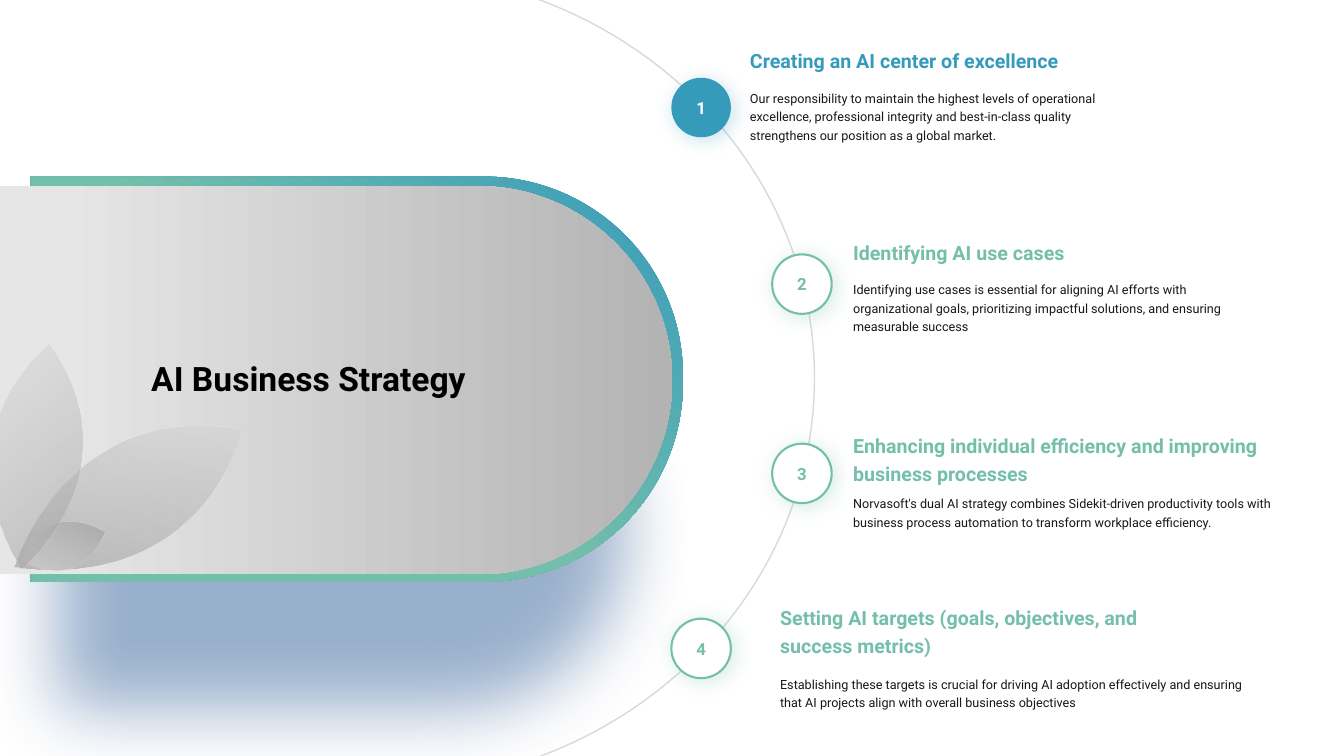
from lxml import etree
from pptx import Presentation
from pptx.dml.color import RGBColor
from pptx.enum.shapes import MSO_SHAPE as Preset
from pptx.enum.text import MSO_ANCHOR as Anchor, PP_ALIGN as Align
from pptx.oxml import parse_xml
from pptx.oxml.ns import nsdecls, qn
from pptx.util import Cm, Pt

BLUE = RGBColor(0x36, 0x9A, 0xBA)
GREEN = RGBColor(0x74, 0xBF, 0xAB)
NAVY = RGBColor(0x01, 0x3A, 0x81)
WHITE = RGBColor(0xFF, 0xFF, 0xFF)
BLACK = RGBColor(0x00, 0x00, 0x00)
INK = RGBColor(0x18, 0x17, 0x17)
RING = RGBColor(0xD9, 0xD9, 0xD9)
PALE = RGBColor(0xE7, 0xE6, 0xE6)
SILVER = RGBColor(0xB3, 0xB3, 0xB3)
LEAF_DARK = RGBColor(0x9F, 0x9F, 0xA0)
LEAF_LIGHT = RGBColor(0xD5, 0xD5, 0xD5)
FONT = "Roboto"


def fill_gradient(shape, stops, angle):
    """Stops are (position %, colour, opacity %); the angle runs clockwise."""
    marks = "".join(
        f'<a:gs pos="{pos * 1000}"><a:srgbClr val="{colour}">'
        f'<a:alpha val="{opacity * 1000}"/></a:srgbClr></a:gs>'
        for pos, colour, opacity in stops)
    gradient = parse_xml(
        f'<a:gradFill {nsdecls("a")} rotWithShape="1"><a:gsLst>{marks}</a:gsLst>'
        f'<a:lin ang="{angle * 60000}" scaled="0"/></a:gradFill>')
    shape.fill.background()
    properties = shape._element.spPr
    properties.replace(properties.find(qn("a:noFill")), gradient)
    shape.line.fill.background()
    shape.shadow.inherit = False


def cast_shadow(shape, colour, opacity, blur, distance, direction, size=100):
    shape.shadow.inherit = False
    effects = shape._element.spPr.find(qn("a:effectLst"))
    shadow = etree.SubElement(
        effects, qn("a:outerShdw"), blurRad=str(Pt(blur)), dist=str(Pt(distance)),
        dir=str(direction * 60000), sx=str(size * 1000), sy=str(size * 1000),
        algn="b", rotWithShape="0")
    tint = etree.SubElement(shadow, qn("a:srgbClr"), val=str(colour))
    etree.SubElement(tint, qn("a:alpha"), val=str(opacity * 1000))


deck = Presentation()
deck.slide_width, deck.slide_height = Cm(33.87), Cm(19.05)
page = deck.slides.add_slide(deck.slide_layouts[5])

# Coloured rim behind the panel
rim = page.shapes.add_shape(Preset.ROUND_2_SAME_RECTANGLE,
                            Cm(3.89), Cm(1.34), Cm(10.21), Cm(16.43))
rim.rotation = 270
rim.adjustments[0], rim.adjustments[1] = 0, 0.49
fill_gradient(rim, [(0, BLUE, 100), (51, GREEN, 100)], 220)
cast_shadow(rim, NAVY, 40, 54, 31, 90, size=87)

# Orbit line
orbit = page.shapes.add_shape(Preset.ARC, Cm(-0.8), Cm(-1.52), Cm(20.55), Cm(22.1))
orbit.rotation = 90
orbit.adjustments[0], orbit.adjustments[1] = 121.95, 202.13
orbit.fill.background()
orbit.line.color.rgb = RING
orbit.line.width = Pt(1)
orbit.shadow.inherit = False

# Grey panel
panel = page.shapes.add_shape(Preset.ROUND_2_SAME_RECTANGLE,
                              Cm(3.58), Cm(1.11), Cm(9.78), Cm(16.94))
panel.rotation = 270
panel.adjustments[0], panel.adjustments[1] = 0, 0.5
fill_gradient(panel, [(9, PALE, 100), (100, SILVER, 100)], 90)

# Leaves: two cubic curves each, from base to tip and back
LEAVES = [
    ([(0.36, 14.27), (0.36, 14.27), (1.63, 10.06), (6.1, 10.82)],
     [(6.1, 10.82), (4.78, 14.96), (0.79, 14.35), (0.36, 14.27)], 63, 58, 284),
    ([(2.64, 13.39), (2.64, 13.39), (2.06, 14.99), (0.56, 14.1)],
     [(0.56, 14.1), (1.17, 12.55), (2.49, 13.31), (2.64, 13.39)], 69, 58, 116),
    ([(0.56, 14.33), (0.56, 14.33), (-1.6, 11.25), (1.24, 8.66)],
     [(1.24, 8.66), (3.35, 11.73), (0.84, 14.07), (0.56, 14.33)], 58, 40, 232),
]
STEPS = 24
for outward, back, dark_opacity, light_opacity, angle in LEAVES:
    # Points along the curves give the leaf its frame
    points = []
    for curve in (outward, back):
        for step in range(1, STEPS + 1):
            t = step / STEPS
            weights = ((1 - t) ** 3, 3 * t * (1 - t) ** 2, 3 * t ** 2 * (1 - t), t ** 3)
            points.append([Cm(sum(w * point[axis] for w, point in zip(weights, curve)))
                           for axis in (0, 1)])
    builder = page.shapes.build_freeform(Cm(outward[0][0]), Cm(outward[0][1]))
    builder.add_line_segments(points, close=True)
    leaf = builder.convert_to_shape()
    # The outline itself is two true curves
    outline = next(leaf._element.iter(qn("a:path")))
    for segment in list(outline):
        outline.remove(segment)
    for command, corners in (("moveTo", outward[:1]), ("cubicBezTo", outward[1:]),
                             ("cubicBezTo", back[1:]), ("close", [])):
        segment = etree.SubElement(outline, qn(f"a:{command}"))
        for x, y in corners:
            etree.SubElement(segment, qn("a:pt"),
                             x=str(Cm(x) - leaf.left), y=str(Cm(y) - leaf.top))
    fill_gradient(leaf, [(0, LEAF_DARK, dark_opacity), (100, LEAF_LIGHT, light_opacity)],
                  angle)

# Steps: circle left and top, text left, then (text, top, width, height) twice
ITEMS = [
    (16.92, 1.96, 18.75,
     ("Creating an AI center of excellence", 0.97, 11.43, 0.94),
     ("Our responsibility to maintain the highest levels of operational excellence, "
      "professional integrity and best-in-class quality strengthens our position "
      "as a global market.", 2.05, 9.4, 1.63)),
    (19.46, 6.41, 21.35,
     ("Identifying AI use cases", 5.8, 8.89, 0.94),
     ("Identifying use cases is essential for aligning AI efforts with organizational "
      "goals, prioritizing impactful solutions, and ensuring measurable success",
      6.88, 9.73, 1.63)),
    (19.46, 11.18, 21.35,
     ("Enhancing individual efficiency and improving business processes",
      10.67, 12.19, 1.65),
     ("Norvasoft's dual AI strategy combines Sidekit-driven productivity tools with "
      "business process automation to transform workplace efficiency.",
      12.27, 11.73, 1.17)),
    (16.92, 15.59, 19.51,
     ("Setting AI targets (goals, objectives, and success metrics)", 15, 10.67, 1.65),
     ("Establishing these targets is crucial for driving AI adoption effectively and "
      "ensuring that AI projects align with overall business objectives",
      16.82, 12.19, 1.17)),
]
for number, (left, top, text_left, heading, detail) in enumerate(ITEMS, 1):
    active = number == 1
    accent = BLUE if active else GREEN

    # Numbered circle
    circle = page.shapes.add_shape(Preset.OVAL, Cm(left), Cm(top), Cm(1.5), Cm(1.5))
    circle.fill.solid()
    circle.fill.fore_color.rgb = accent if active else WHITE
    if active:
        circle.line.fill.background()
    else:
        circle.line.color.rgb = accent
        circle.line.width = Pt(1.5)
    cast_shadow(circle, accent, 28 if active else 30, 14, 3, 45)
    circle.text_frame.vertical_anchor = Anchor.MIDDLE
    para = circle.text_frame.paragraphs[0]
    para.alignment = Align.CENTER
    span = para.add_run()
    span.text = str(number)
    span.font.name, span.font.size, span.font.bold = FONT, Pt(12), True
    span.font.color.rgb = WHITE if active else accent

    # Heading and detail
    group = page.shapes.add_group_shape()
    for (words, box_top, width, height), size, bold, colour, spacing in (
            (detail, 9, False, INK, Pt(13.2)), (heading, 14, True, accent, 1.2)):
        box = group.shapes.add_textbox(Cm(text_left), Cm(box_top), Cm(width), Cm(height))
        frame = box.text_frame
        frame.word_wrap = True
        frame.margin_left = frame.margin_right = Cm(0.15)
        frame.margin_top = frame.margin_bottom = Cm(0.15)
        para = frame.paragraphs[0]
        para.line_spacing = spacing
        span = para.add_run()
        span.text = words
        span.font.name, span.font.size, span.font.bold = FONT, Pt(size), bold
        span.font.color.rgb = colour

# Title, brought in front of the panel
title = page.shapes.title
title.left, title.top, title.width, title.height = Cm(2.62), Cm(8.94), Cm(10.31), Cm(1.17)
frame = title.text_frame
frame.word_wrap = True
frame.vertical_anchor = Anchor.TOP
frame.margin_left = frame.margin_right = frame.margin_top = frame.margin_bottom = Cm(0.08)
para = frame.paragraphs[0]
para.alignment = Align.CENTER
para.line_spacing = 1.0
para.space_before = Pt(0)
span = para.add_run()
span.text = "AI Business Strategy"
span.font.name, span.font.size, span.font.bold = FONT, Pt(24), True
span.font.color.rgb = BLACK
page.shapes._spTree.append(title._element)

deck.save("out.pptx")
